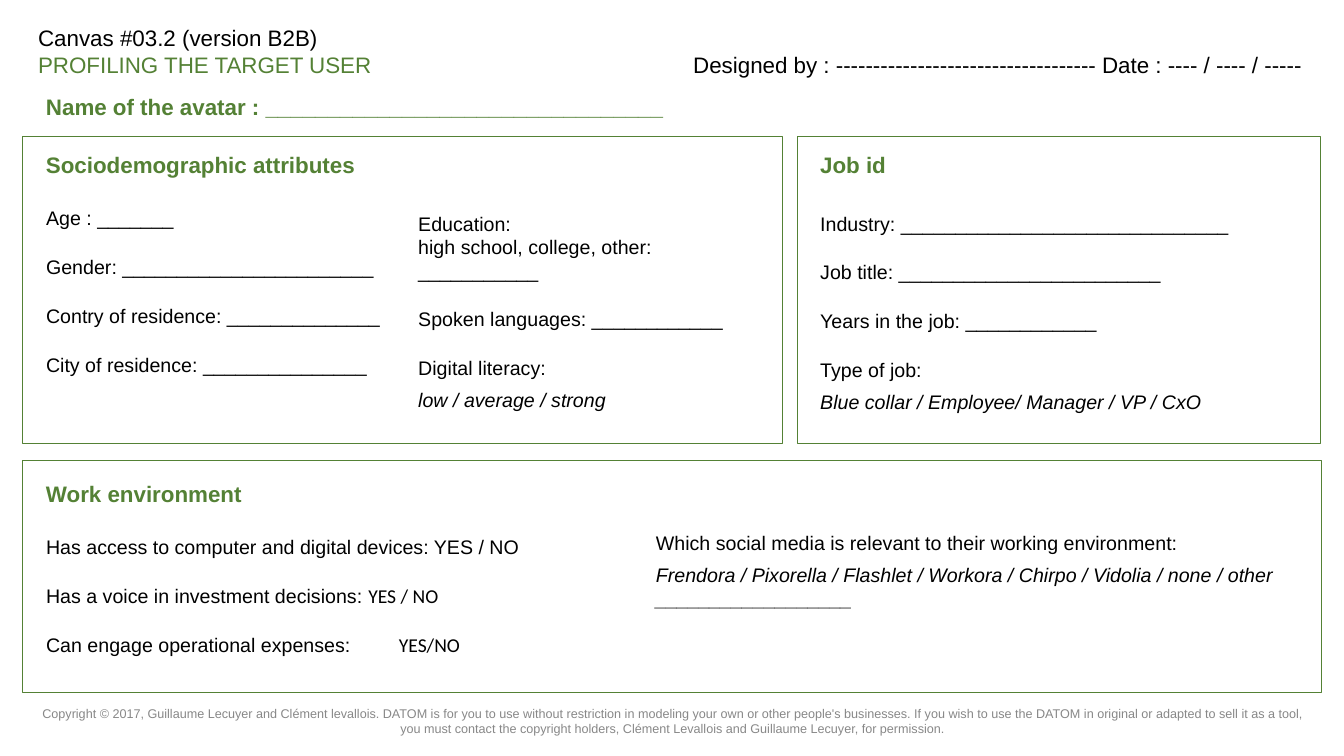
from lxml import etree
from pptx import Presentation
from pptx.dml.color import RGBColor
from pptx.enum.shapes import MSO_SHAPE
from pptx.enum.text import MSO_ANCHOR, MSO_AUTO_SIZE, PP_ALIGN
from pptx.oxml.ns import qn
from pptx.util import Cm, Pt

RECT = MSO_SHAPE.RECTANGLE
TOP, MIDDLE = MSO_ANCHOR.TOP, MSO_ANCHOR.MIDDLE
LEFT, CENTER = PP_ALIGN.LEFT, PP_ALIGN.CENTER
FIXED = MSO_AUTO_SIZE.NONE
COLORS = {"green": "548135", "black": "000000", "gray": "888888"}
COL_A, COL_B, COL_JOB, COL_SOCIAL = 0.91, 10.29, 20.42, 16.28
TAB = 8.08


class Canvas:
    font, answer = "Arial", "Calibri"
    small, normal, large = 9, 14, 16

    def __init__(self, slide):
        self.slide = slide

    def place(self, area, holder=None, pad=0.25, anchor=TOP):
        left, top, width, height = map(Cm, area)
        if holder is None:
            shape = self.slide.shapes.add_textbox(left, top, width, height)
        else:
            shape = holder
            shape.left, shape.top, shape.width, shape.height = left, top, width, height
        frame = shape.text_frame
        frame.word_wrap = True
        frame.auto_size = FIXED
        frame.vertical_anchor = anchor
        frame.margin_left = frame.margin_right = Cm(0.25)
        frame.margin_top = frame.margin_bottom = Cm(pad)
        return frame

    def style(self, run, size, color="black", bold=False, italic=False, font=None):
        run.font.name = font or self.font
        run.font.size = Pt(size)
        run.font.bold = bold
        run.font.italic = italic
        run.font.color.rgb = RGBColor.from_string(COLORS[color])

    def label(self, text, area, size, color, bold=False, align=LEFT, **place):
        frame = self.place(area, **place)
        frame.text = text
        para = frame.paragraphs[0]
        para.alignment = align
        for run in para.runs:
            self.style(run, size, color, bold)
        return para

    def head(self, text, left, top, width=12.5):
        self.label(text, (left, top, width, 0.94), self.large, "green", True, pad=0.13)

    def fields(self, lines, area, holder=None):
        frame = self.place(area, holder)
        for row, (gap, text, italic, reply) in enumerate(lines):
            para = frame.add_paragraph() if row else frame.paragraphs[0]
            para.text = text
            props = para._p.get_or_add_pPr()
            props.set("marL", "0")
            props.set("indent", "0")
            etree.SubElement(props, qn("a:buNone"))
            if "\t" in text:
                tabs = etree.SubElement(props, qn("a:tabLst"))
                etree.SubElement(tabs, qn("a:tab"), pos=str(Cm(TAB)), algn="l")
            para.alignment = LEFT
            para.space_before = Pt(gap)
            for run in para.runs:
                self.style(run, self.normal, italic=italic)
            if reply:
                run = para.add_run()
                run.text = reply
                self.style(run, self.normal, font=self.answer)

    def panel(self, *area):
        shape = self.slide.shapes.add_shape(RECT, *map(Cm, area))
        shape.shadow.inherit = False
        shape.fill.background()
        shape.line.color.rgb = RGBColor.from_string(COLORS["green"])
        shape.line.width = Pt(0.75)


def line(text, gap=18, italic=False, reply=""):
    return gap, text, italic, reply


def main():
    deck = Presentation()
    deck.slide_width, deck.slide_height = Cm(33.87), Cm(19.05)
    slide = deck.slides.add_slide(deck.slide_layouts[4])
    canvas = Canvas(slide)
    title, *bodies = [h for h in slide.placeholders if h.placeholder_format.idx < 5]

    canvas.panel(0.58, 3.45, 19.15, 7.72)
    canvas.panel(20.09, 3.45, 13.18, 7.72)
    canvas.panel(0.58, 11.61, 32.72, 5.84)

    para = canvas.label("Canvas #03.2 (version B2B)\vPROFILING THE TARGET USER",
                        (0.71, 0.36, 16.23, 1.12), canvas.large, "black", holder=title)
    canvas.style(para.runs[1], canvas.large, "green")
    para = canvas.label(
        "Designed by : ----------------------------------- Date : ---- / ---- / -----",
        (17.22, 0.36, 16.23, 1.12), canvas.large, "black")
    para.line_spacing = 2.0
    para.space_after = Pt(6)

    canvas.head("Name of the avatar : ________________________________", COL_A, 2.21, 17.88)
    canvas.head("Sociodemographic attributes", COL_A, 3.68)
    canvas.head("Job id", COL_JOB, 3.68)
    canvas.head("Work environment", COL_A, 11.96)

    lists = [
        ((COL_A, 4.95, 9.02, 6.05), [
            line("Age : _______", 0),
            line("Gender: _______________________"),
            line("Contry of residence: ______________"),
            line("City of residence: _______________")]),
        ((COL_B, 5.08, 9.37, 4.98), [
            line("Education:", 0),
            line("high school, college, other: ___________", 0),
            line("Spoken languages: ____________"),
            line("Digital literacy:"),
            line("low / average / strong", 6, True)]),
        ((COL_JOB, 5.08, 12.55, 5.64), [
            line("Industry: ______________________________", 0),
            line("Job title: ________________________"),
            line("Years in the job: ____________"),
            line("Type of job:"),
            line("Blue collar / Employee/ Manager / VP / CxO", 6, True)]),
        ((COL_A, 13.23, 15.21, 3.61), [
            line("Has access to computer and digital devices: YES / NO", 0),
            line("Has a voice in investment decisions: ", reply="YES / NO"),
            line("Can engage operational expenses:\t", reply="YES/NO")]),
    ]
    for holder, (area, lines) in zip(bodies, lists):
        canvas.fields(lines, area, holder)
    canvas.fields([
        line("Which social media is relevant to their working environment:", 0),
        line("Frendora / Pixorella / Flashlet / Workora / Chirpo / Vidolia / none / "
             "other __________________", 6, True)],
        (COL_SOCIAL, 13.13, 16.69, 2.46))

    canvas.label(
        "Copyright © 2017, Guillaume Lecuyer and Clément levallois. DATOM is for you to use "
        "without restriction in modeling your own or other people's businesses. If you wish to "
        "use the DATOM in original or adapted to sell it as a tool, you must contact the "
        "copyright holders, Clément Levallois and Guillaume Lecuyer, for permission.",
        (0.79, 17.63, 32.31, 1.07), canvas.small, "gray", align=CENTER, pad=0.13, anchor=MIDDLE)

    deck.save("out.pptx")


if __name__ == "__main__":
    main()
